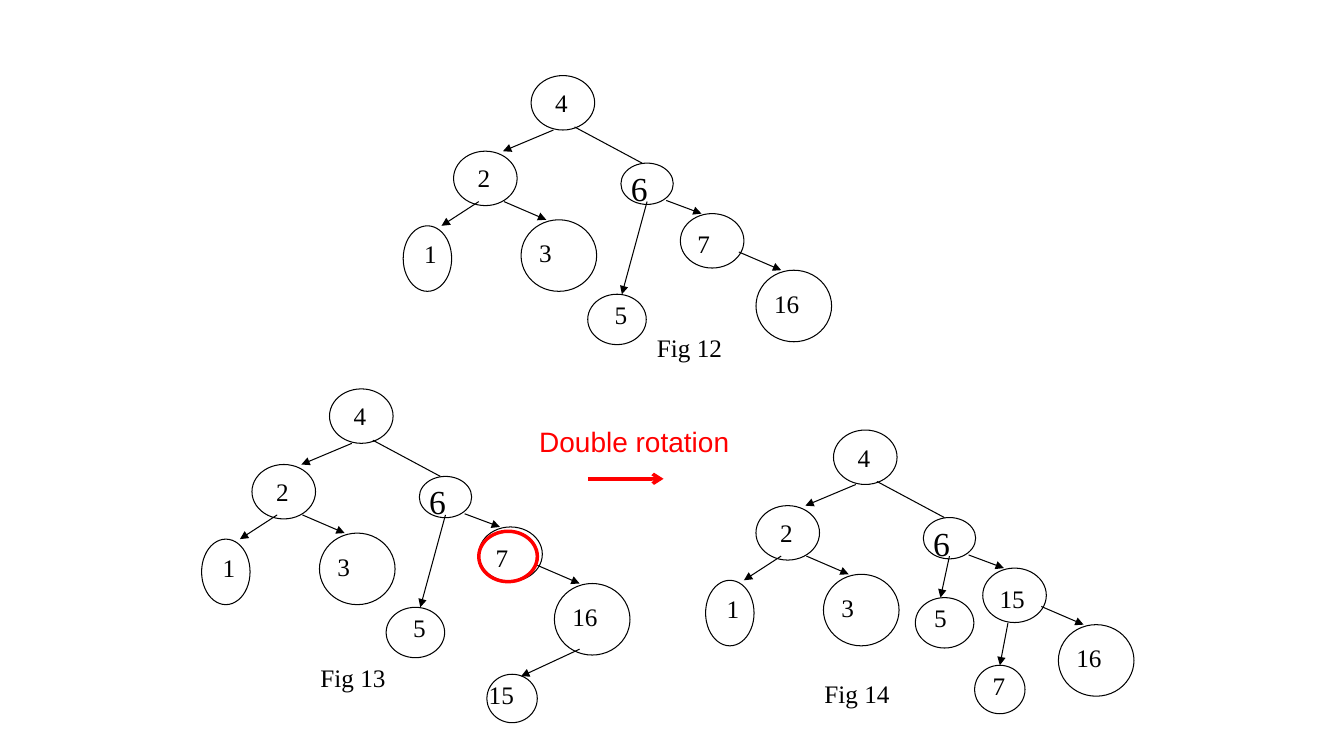
from dataclasses import dataclass

from lxml import etree
from pptx import Presentation
from pptx.dml.color import RGBColor
from pptx.enum.shapes import MSO_CONNECTOR, MSO_SHAPE
from pptx.oxml.ns import qn
from pptx.util import Pt

ELLIPSE = MSO_SHAPE.OVAL
STRAIGHT = MSO_CONNECTOR.STRAIGHT


@dataclass(frozen=True)
class Theme:
    ink: RGBColor = RGBColor(0, 0, 0)
    accent: RGBColor = RGBColor(0xFF, 0, 0)
    serif: str = "Times New Roman"
    sans: str = "Arial"
    label: int = 18
    large: int = 24
    note: int = 20
    thin: float = 0.75
    thick: float = 2.5


class Diagram:
    def __init__(self, slide, theme):
        self.slide = slide
        self.theme = theme
        self.shapes = slide.shapes
        self.origin = (0, 0)

    def start_tree(self, x, y):
        """Place what follows in a new group, measured from (x, y)."""
        self.shapes = self.slide.shapes.add_group_shape().shapes
        self.origin = (x, y)

    def end_tree(self):
        self.shapes = self.slide.shapes
        self.origin = (0, 0)

    def place(self, x, y):
        return Pt(self.origin[0] + x), Pt(self.origin[1] + y)

    def ellipse(self, x, y, w, h, color=None, weight=None):
        sp = self.shapes.add_shape(ELLIPSE, *self.place(x, y), Pt(w), Pt(h))
        sp.shadow.inherit = False
        sp.fill.background()
        sp.line.color.rgb = color or self.theme.ink
        sp.line.width = Pt(weight or self.theme.thin)

    def text(self, text, x, y, w, h=28.8, size=None, font=None, color=None, wrap=True):
        sp = self.shapes.add_textbox(*self.place(x, y), Pt(w), Pt(h))
        tf = sp.text_frame
        tf.word_wrap = wrap
        r = tf.paragraphs[0].add_run()
        r.text = text
        r.font.size = Pt(size or self.theme.label)
        r.font.name = font or self.theme.serif
        r.font.color.rgb = color or self.theme.ink

    def line(self, x1, y1, x2, y2, head="triangle", color=None, weight=None):
        cxn = self.shapes.add_connector(STRAIGHT, *self.place(x1, y1), *self.place(x2, y2))
        cxn.line.color.rgb = color or self.theme.ink
        cxn.line.width = Pt(weight or self.theme.thin)
        if head:
            ln = cxn._element.spPr.find(qn("a:ln"))
            etree.SubElement(ln, qn("a:tailEnd"), type=head)
        etree.SubElement(cxn._element.spPr, qn("a:effectLst"))

    def node(self, key, spot, extent, label_spot, label_width, **style):
        self.ellipse(*spot, *extent)
        self.text(key, *label_spot, label_width, **style)


# Node sizes, shared by all three trees
MEDIUM = (45.4, 38.9)
BIG = (54, 51.1)
SMALL = (37.4, 29.5)
TALL = (34.6, 46.8)
FIVE = (41.8, 36)
LEAF = (36, 34.6)

# Nodes in every tree: key, place, size, label place, label width
COMMON_NODES = [
    ("4", (91.4, 0), MEDIUM, (101.5, 4.9), 80.6),
    ("2", (36, 54), MEDIUM, (46.1, 58.7), 50.4),
    ("1", (0, 107.3), TALL, (7.9, 113), 38.9),
    ("3", (84.2, 103), BIG, (90, 112.3), 72),
    ("16", (252, 139), BIG, (257.8, 148.3), 72),
]
COMMON_ARROWS = [
    (107.3, 38.9, 71.3, 54),
    (187.9, 89.2, 213.1, 98.6),
    (54, 90, 27.4, 107.3),
    (72, 90, 102.2, 103),
    (239.8, 126, 270, 139),
]

# Caption, origin, caption place, key right of 6, place, label x and
# arrow end x of node 5, extra leaf (key, place, label x, arrow)
TREES = [
    ("Fig 12", (288, 54), (174.2, 180), "7", (131.8, 156.2), 144, 156.2, None),
    ("Fig 13", (144, 277.8), (77.8, 191.7), "7", (131.8, 156), 144, 156.2,
     ("15", (203.8, 203.8), 198, (270, 185.9, 228.2, 205.3))),
    ("Fig 14", (504, 307.2), (77.8, 173.7), "15", (149.8, 119.7), 156.2, 167.8,
     ("7", (192.2, 168), 198, (216, 137.7, 210.2, 168))),
]


def draw_tree(d, caption, origin, caption_spot, right_key, five, five_label, five_end, leaf):
    d.start_tree(*origin)
    for node in COMMON_NODES:
        d.node(*node)
    d.node("6", (155.5, 62.5), SMALL, (155.5, 62.5), SMALL[0], h=36, size=d.theme.large)
    d.node(right_key, (198, 98.6), MEDIUM, (203, 105.9), 60.5)
    d.node("5", five, FIVE, (five_label, five[1]), 60)
    for arrow in COMMON_ARROWS:
        d.line(*arrow)
    d.line(122.4, 36.7, 170.6, 62.5, head=None)
    d.line(174.2, 90, five_end, five[1])
    if leaf:
        key, spot, label_x, arrow = leaf
        d.node(key, spot, LEAF, (label_x, spot[1]), 60)
        d.line(*arrow)
    d.text(caption, *caption_spot, 90)
    d.end_tree()


def main():
    prs = Presentation()
    prs.slide_width, prs.slide_height = Pt(960), Pt(540)
    theme = Theme()
    d = Diagram(prs.slides.add_slide(prs.slide_layouts[6]), theme)
    for tree in TREES:
        draw_tree(d, *tree)
    d.line(420, 342, 474, 342, head="arrow", color=theme.accent, weight=theme.thick)
    d.text("Double rotation", 378, 300, 150.5, 31, size=theme.note,
           font=theme.sans, color=theme.accent, wrap=False)
    d.ellipse(342, 379.5, 41.8, 36, color=theme.accent, weight=theme.thick)
    prs.save("out.pptx")


if __name__ == "__main__":
    main()
